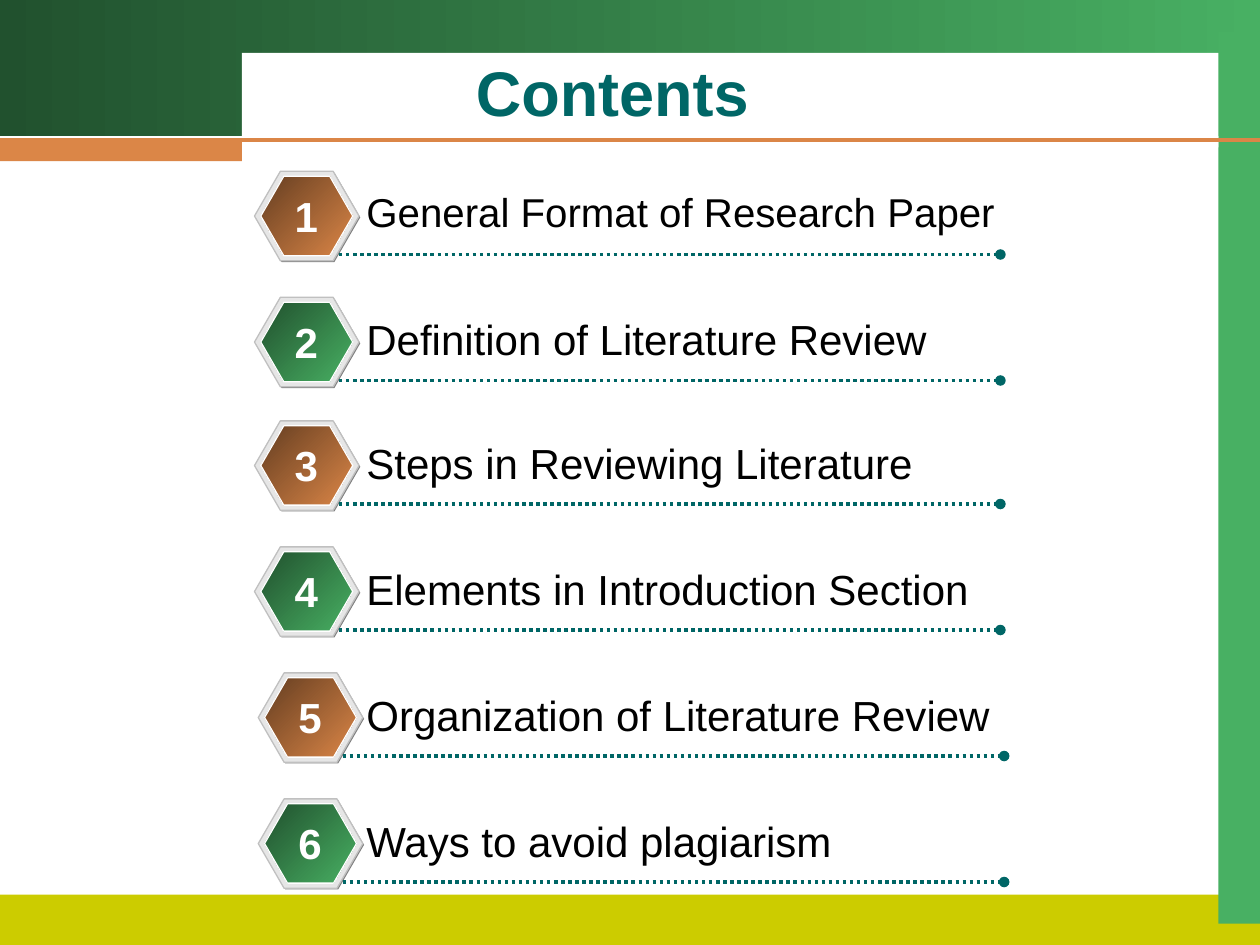
import pptx
import pptx.util
import pptx.dml.color
import pptx.enum.dml
import pptx.enum.shapes
import pptx.enum.text
import lxml.etree

Inches = pptx.util.Inches
Pt = pptx.util.Pt
RGBColor = pptx.dml.color.RGBColor
MSO_SHAPE = pptx.enum.shapes.MSO_SHAPE
PP_ALIGN = pptx.enum.text.PP_ALIGN
MSO_ANCHOR = pptx.enum.text.MSO_ANCHOR

WHITE = RGBColor(0xFF, 0xFF, 0xFF)
BLACK = RGBColor(0, 0, 0)
TEAL = RGBColor(0, 0x66, 0x66)
OLIVE = RGBColor(0xCC, 0xCC, 0)
DARK_GREEN = RGBColor(0x21, 0x51, 0x2E)
GREEN = RGBColor(0x48, 0xB0, 0x63)
BROWN = RGBColor(0x65, 0x3E, 0x21)
ORANGE = RGBColor(0xDB, 0x86, 0x47)
GRAY = RGBColor(0x80, 0x80, 0x80)
SILVER = RGBColor(0xC0, 0xC0, 0xC0)
LIGHT_GRAY = RGBColor(0xE6, 0xE6, 0xE6)

GREENS = (DARK_GREEN, GREEN)
BROWNS = (BROWN, ORANGE)

prs = pptx.Presentation()
prs.slide_width = Inches(10)
prs.slide_height = Inches(7.5)
s = prs.slides.add_slide(prs.slide_layouts[6])


def add_block(kind, box, fill, line=None, angle=0):
    """Add a preset shape; a pair of colours as fill makes a gradient."""
    sp = s.shapes.add_shape(kind, *map(Inches, box))
    sp.shadow.inherit = False
    if isinstance(fill, RGBColor):
        sp.fill.solid()
        sp.fill.fore_color.rgb = fill
    else:
        sp.fill.gradient()
        sp.fill.gradient_angle = angle
        for stop, color in zip(sp.fill.gradient_stops, fill):
            stop.color.rgb = color
    if line is None:
        sp.line.fill.background()
    else:
        sp.line.color.rgb = line
        sp.line.width = Pt(0.75)
    if kind == MSO_SHAPE.HEXAGON:
        sp.adjustments[0] = 0.289
    return sp


def add_label(text, box, size, color, bold=False, align=PP_ALIGN.LEFT, wrap=True):
    sp = s.shapes.add_textbox(*map(Inches, box))
    tf = sp.text_frame
    tf.word_wrap = wrap
    tf.text = text
    p = tf.paragraphs[0]
    p.alignment = align
    font = p.runs[0].font
    font.name = "Arial"
    font.size = Pt(size)
    font.bold = bold
    font.color.rgb = color
    return sp


# Frame
add_block(MSO_SHAPE.RECTANGLE, (0, 0, 10, 1.08), GREENS)
add_block(MSO_SHAPE.RECTANGLE, (0, 7.1, 10, 0.42), OLIVE)
add_block(MSO_SHAPE.RECTANGLE, (9.67, 0.25, 0.33, 7.08), GREEN)
add_block(MSO_SHAPE.RECTANGLE, (1.92, 0.42, 7.75, 0.75), WHITE)
rule = s.shapes.add_connector(
    pptx.enum.shapes.MSO_CONNECTOR.STRAIGHT, 0, Inches(1.11), Inches(10), Inches(1.11))
rule.line.color.rgb = ORANGE
rule.line.width = Pt(2.25)
pptx.oxml.xmlchemy.OxmlElement("a:effectLst")
lxml.etree.SubElement(rule._element.spPr, pptx.oxml.ns.qn("a:effectLst"))
add_block(MSO_SHAPE.RECTANGLE, (0, 1.11, 1.92, 0.17), ORANGE)

title = add_label("Contents", (2.89, 0.39, 3.94, 0.67), 36, TEAL, True, PP_ALIGN.CENTER)
title.text_frame.vertical_anchor = MSO_ANCHOR.MIDDLE

# Numbered entries: text, left and top of the hexagon, text size
entries = [
    ("General Format of Research Paper", 2.02, 1.36, 23),
    ("Definition of Literature Review", 2.02, 2.36, 24),
    ("Steps in Reviewing Literature", 2.02, 3.34, 24),
    ("Elements in Introduction Section", 2.02, 4.34, 24),
    ("Organization of Literature Review", 2.05, 5.34, 24),
    ("Ways to avoid plagiarism", 2.05, 6.34, 24),
]
for number, (text, x, y, size) in enumerate(entries, 1):
    add_block(MSO_SHAPE.HEXAGON, (x + 0.01, y + 0.01, 0.83, 0.71), GRAY)
    add_block(MSO_SHAPE.HEXAGON, (x, y, 0.83, 0.71), LIGHT_GRAY, SILVER)
    add_block(MSO_SHAPE.HEXAGON, (x + 0.05, y + 0.04, 0.73, 0.63),
              BROWNS if number % 2 else GREENS, WHITE, angle=315)

    leader = s.shapes.add_connector(
        pptx.enum.shapes.MSO_CONNECTOR.STRAIGHT,
        Inches(x + 0.67), Inches(y + 0.66), Inches(x + 5.92), Inches(y + 0.66))
    leader.line.color.rgb = TEAL
    leader.line.width = Pt(2)
    leader.line.dash_style = pptx.enum.dml.MSO_LINE.ROUND_DOT
    lxml.etree.SubElement(leader.line._get_or_add_ln(),
                          pptx.oxml.ns.qn("a:tailEnd"), type="oval")
    lxml.etree.SubElement(leader._element.spPr, pptx.oxml.ns.qn("a:effectLst"))

    add_label(text, (2.81, y + 0.08, 5.23, 0.5), size, BLACK)
    add_label(str(number), (x + 0.22, y + 0.1, 0.38, 0.5), 24, WHITE, True,
              PP_ALIGN.CENTER, wrap=False)

prs.save("out.pptx")
